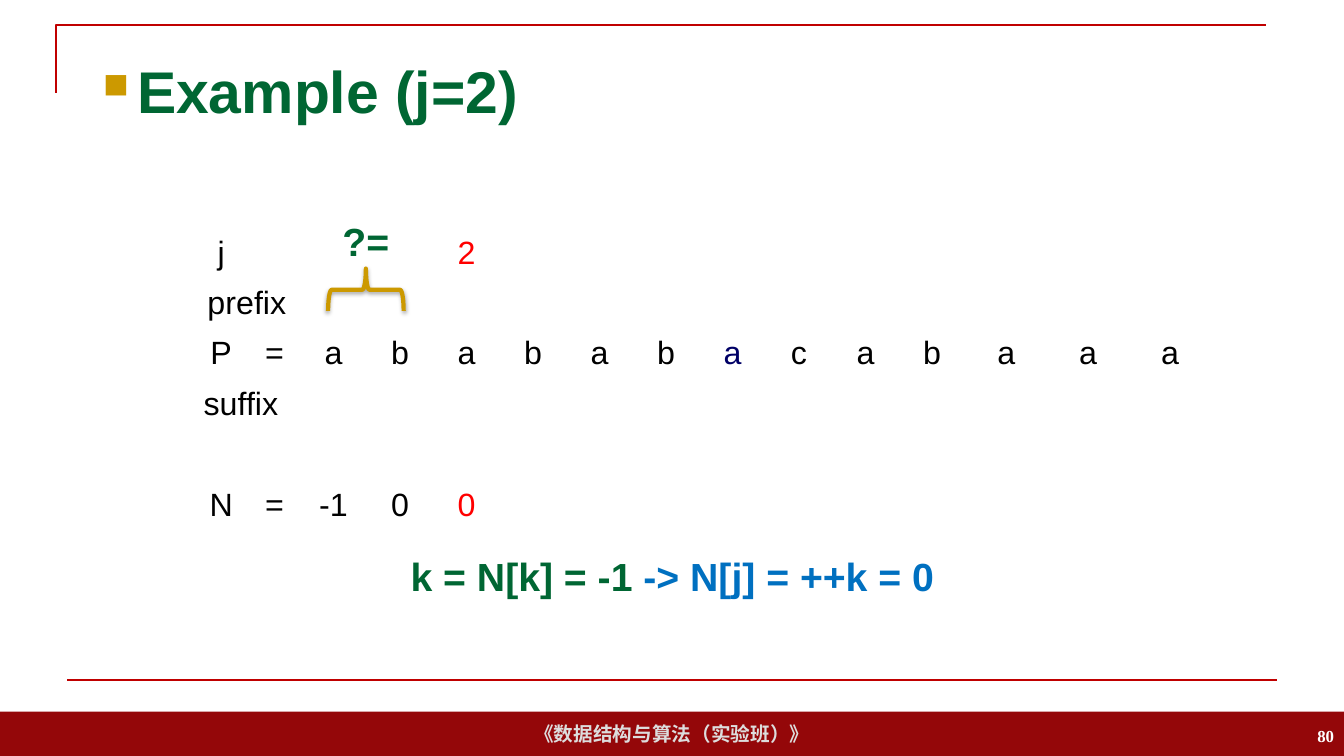
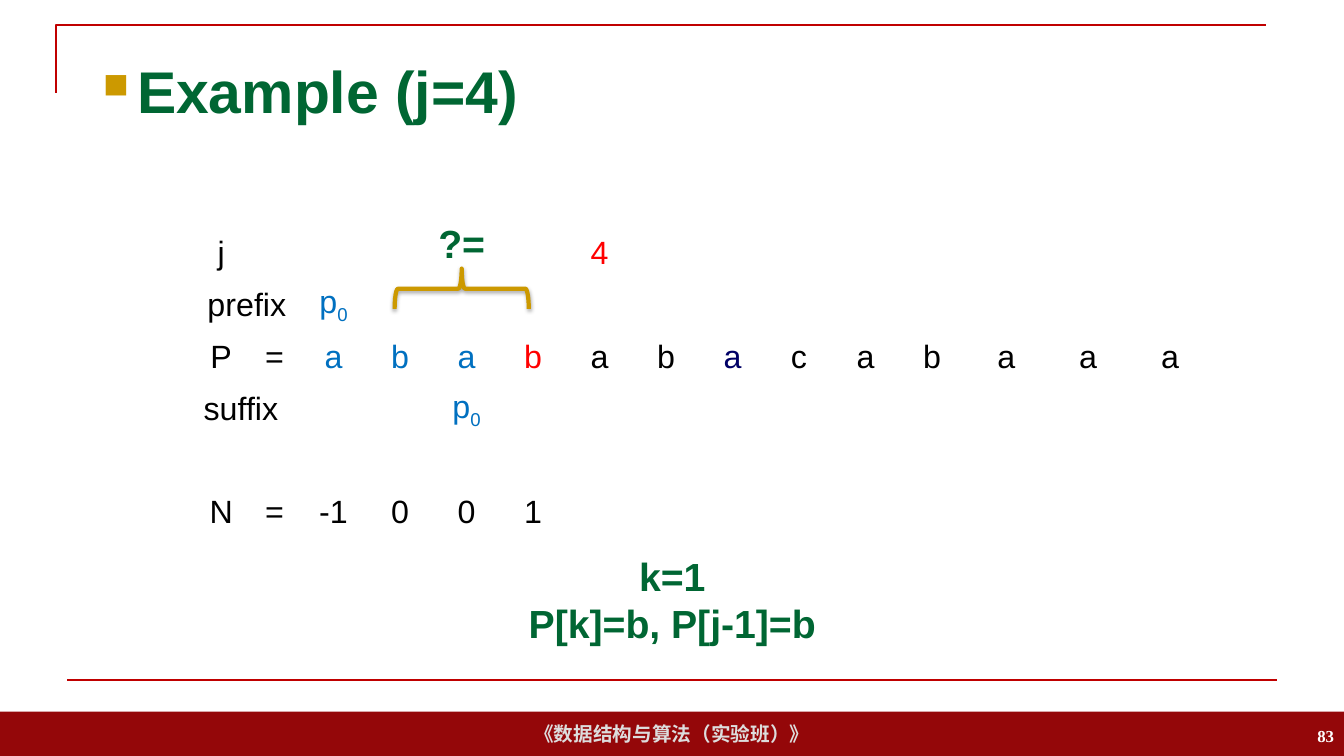
"""Build two slides that step through the failure table of a pattern."""
from lxml.etree import SubElement
from pptx import Presentation
from pptx.dml.color import RGBColor
from pptx.enum.shapes import MSO_CONNECTOR, MSO_SHAPE
from pptx.enum.text import MSO_ANCHOR, PP_ALIGN
from pptx.oxml.ns import qn
from pptx.util import Inches, Pt

GREEN = RGBColor(0x00, 0x66, 0x33)
BLUE = RGBColor(0x00, 0x70, 0xC0)
RED = RGBColor(0xFF, 0x00, 0x00)
NAVY = RGBColor(0x00, 0x00, 0x66)
GOLD = RGBColor(0xCC, 0x99, 0x00)
RULE = RGBColor(0xC0, 0x00, 0x00)
WINE = RGBColor(0x94, 0x07, 0x09)
SILVER = RGBColor(0xDD, 0xDD, 0xDD)
BLACK = RGBColor(0x00, 0x00, 0x00)
WHITE = RGBColor(0xFF, 0xFF, 0xFF)

HEAD = {"name": "Arial", "size": Pt(42), "bold": True}
NOTE = {"name": "Arial", "size": Pt(28), "bold": True}
CELL = {"name": "Arial", "size": Pt(23), "bold": False}
FOOT = {"name": "Arial", "size": Pt(14), "bold": True}
PAGE = {"name": "Times New Roman", "size": Pt(12), "bold": True}
MID = {"vertical_anchor": MSO_ANCHOR.MIDDLE, "word_wrap": True}
TOP = {"vertical_anchor": MSO_ANCHOR.TOP, "word_wrap": True}

WORD = "abababacabaaa"
COLS = [4.12, 3.83] + [4.95] * 10 + [6.1] * 3
ROWS = [6.67] * 6
FIRST = 2
P0 = [("p", BLUE), ("0", BLUE, "-25000")]


def dress(item, style):
    """Set each attribute of a style on an item."""
    for name, value in style.items():
        setattr(item, name, value)


class Deck:
    """Hold the style and the current slide, with lengths in percent of its size."""

    def __init__(self):
        """Start a wide deck."""
        self.deck = Presentation()
        self.deck.slide_width = Inches(13.33)
        self.deck.slide_height = Inches(7.5)

    def wide(self, part):
        """Turn a share of the width into a length."""
        return round(self.deck.slide_width * part / 100)

    def high(self, part):
        """Turn a share of the height into a length."""
        return round(self.deck.slide_height * part / 100)

    def area(self, x, y, w, h):
        """Turn four shares into a box."""
        return self.wide(x), self.high(y), self.wide(w), self.high(h)

    def letter(self, frame, paras, font, align=PP_ALIGN.CENTER, fit=MID):
        """Fill a text frame with paragraphs of coloured runs."""
        dress(frame, fit)
        for i, runs in enumerate(paras):
            para = frame.add_paragraph() if i else frame.paragraphs[0]
            para.alignment = align
            for text, hue, *base in runs:
                run = para.add_run()
                run.text = text
                dress(run.font, font)
                run.font.color.rgb = hue
                for shift in base:
                    run.font._element.set("baseline", shift)

    def text(self, box, paras, font, **rest):
        """Add a text box."""
        shape = self.shapes.add_textbox(*self.area(*box))
        self.letter(shape.text_frame, paras, font, **rest)

    def page(self, title, number):
        """Start a slide with its title, rules and footer."""
        slide = self.deck.slides.add_slide(self.deck.slide_layouts[5])
        self.shapes = slide.shapes
        self.band("《数据结构与算法（实验班）》")
        self.rules()
        self.title(title)
        self.text((77.5, 94.67, 22.5, 5.33), [[(number, WHITE)]], PAGE,
                  align=PP_ALIGN.RIGHT)

    def band(self, text):
        """Draw the footer band."""
        shape = self.shapes.add_shape(
            MSO_SHAPE.RECTANGLE, *self.area(0, 94.13, 100, 5.87))
        shape.shadow.inherit = False
        shape.fill.solid()
        shape.fill.fore_color.rgb = WINE
        shape.line.fill.background()
        self.letter(shape.text_frame, [[(text, SILVER)]], FOOT)

    def rules(self):
        """Draw the top corner and the bottom rule."""
        left, top, right, low = self.area(4.2, 3.33, 94.2, 12.27)
        pen = self.shapes.build_freeform(left, low)
        pen.add_line_segments([(left, top), (right, top)], close=False)
        bend = pen.convert_to_shape()
        bend.fill.background()
        bend.shadow.inherit = False
        rule = self.shapes.add_connector(
            MSO_CONNECTOR.STRAIGHT, *self.area(5, 90, 95, 90))
        SubElement(rule._element.spPr, qn("a:effectLst"))
        for item in (bend, rule):
            item.line.color.rgb = RULE
            item.line.width = Pt(1.5)

    def title(self, text):
        """Place the title with its square bullet."""
        shape = self.shapes.title
        box = self.area(6.9, 5.33, 86.25, 13.2)
        dress(shape, dict(zip(("left", "top", "width", "height"), box)))
        props = shape.text_frame.paragraphs[0]._p.get_or_add_pPr()
        props.set("marL", str(Inches(0.34)))
        props.set("indent", str(-Inches(0.34)))
        SubElement(SubElement(props, qn("a:buClr")), qn("a:srgbClr"), val=str(GOLD))
        SubElement(props, qn("a:buSzPct"), val="60000")
        SubElement(props, qn("a:buFont"), typeface="Wingdings")
        SubElement(props, qn("a:buChar"), char="n")
        self.letter(shape.text_frame, [[(text, GREEN)]], HEAD, align=PP_ALIGN.LEFT)

    def grid(self, cells):
        """Add the table from a map of (row, column) to runs."""
        box = self.area(14.4, 30.13, sum(COLS), sum(ROWS))
        table = self.shapes.add_table(len(ROWS), len(COLS), *box).table
        dress(table, {"first_row": False, "horz_banding": False})
        for col, part in zip(table.columns, COLS):
            col.width = self.wide(part)
        for row, part in zip(table.rows, ROWS):
            row.height = self.high(part)
        for r in range(len(ROWS)):
            for c in range(len(COLS)):
                cell = table.cell(r, c)
                cell.fill.background()
                cell.vertical_anchor = MSO_ANCHOR.MIDDLE
                if (r, c) in cells:
                    align = PP_ALIGN.LEFT if (r, c) == (3, 0) else PP_ALIGN.CENTER
                    self.letter(cell.text_frame, [cells[r, c]], CELL,
                                align=align, fit={})
        table.cell(1, 0).merge(table.cell(1, 1))
        table.cell(3, 0).merge(table.cell(3, 2))

    def state(self, step, hues, fails, marks):
        """Show the pattern and its failure values at a step."""
        cells = {(0, 0): "j", (1, 0): "prefix", (2, 0): "P", (2, 1): "=",
                 (3, 0): "suffix", (5, 0): "N", (5, 1): "="}
        cells = {spot: [(text, BLACK)] for spot, text in cells.items()}
        cells[0, FIRST + step] = [(str(step), RED)]
        for i, char in enumerate(WORD):
            cells[2, FIRST + i] = [(char, hues.get(i, BLACK))]
        for i, (value, hue) in enumerate(fails):
            cells[5, FIRST + i] = [(value, hue)]
        for row, i in marks:
            cells[row, FIRST + i] = P0
        self.grid(cells)

    def brace(self, x, w, h, top):
        """Draw a brace that points up at a question mark."""
        left, high, span, rise = self.area(x, 35.53, w, h)
        shape = self.shapes.add_shape(
            MSO_SHAPE.LEFT_BRACE, left + (span - rise) // 2,
            high + (rise - span) // 2, rise, span)
        shape.rotation = 90
        shape.fill.background()
        shape.line.color.rgb = GOLD
        shape.line.width = Pt(3)
        shape.shadow.inherit = False
        glow = SubElement(
            shape._element.spPr.find(qn("a:effectLst")), qn("a:outerShdw"),
            blurRad=str(Pt(3.1)), dist=str(Pt(1.8)), dir="5400000", rotWithShape="0")
        tint = SubElement(glow, qn("a:srgbClr"), val=str(BLACK))
        SubElement(tint, qn("a:alpha"), val="35000")
        self.text((x + w / 2 - 3.15, top, 6.3, 7.6), [[("?=", GREEN)]], NOTE, fit=TOP)

    def note(self, paras):
        """Add the result below the table."""
        self.text((21.6, 72.4, 56.85, 7.6 * len(paras)), paras, NOTE, fit=TOP)


def main():
    """Build and save the deck."""
    deck = Deck()

    deck.page("Example (j=2)", "80")
    deck.note([[("k = N[k] = -1 ", GREEN), ("-> N[j] = ++k = 0", BLUE)]])
    deck.state(2, {6: NAVY}, [("-1", BLACK), ("0", BLACK), ("0", RED)], [])
    deck.brace(24.41, 5.62, 5.6, 28.13)

    deck.page("Example (j=4)", "83")
    deck.note([[("k=1", GREEN)], [("P[k]=b, P[j-1]=b", GREEN)]])
    deck.state(4, {0: BLUE, 1: BLUE, 2: BLUE, 3: RED, 6: NAVY},
               [(value, BLACK) for value in ("-1", "0", "0", "1")],
               [(1, 0), (3, 2)])
    deck.brace(29.36, 9.98, 5.33, 28.4)

    deck.deck.save("out.pptx")


if __name__ == "__main__":
    main()
